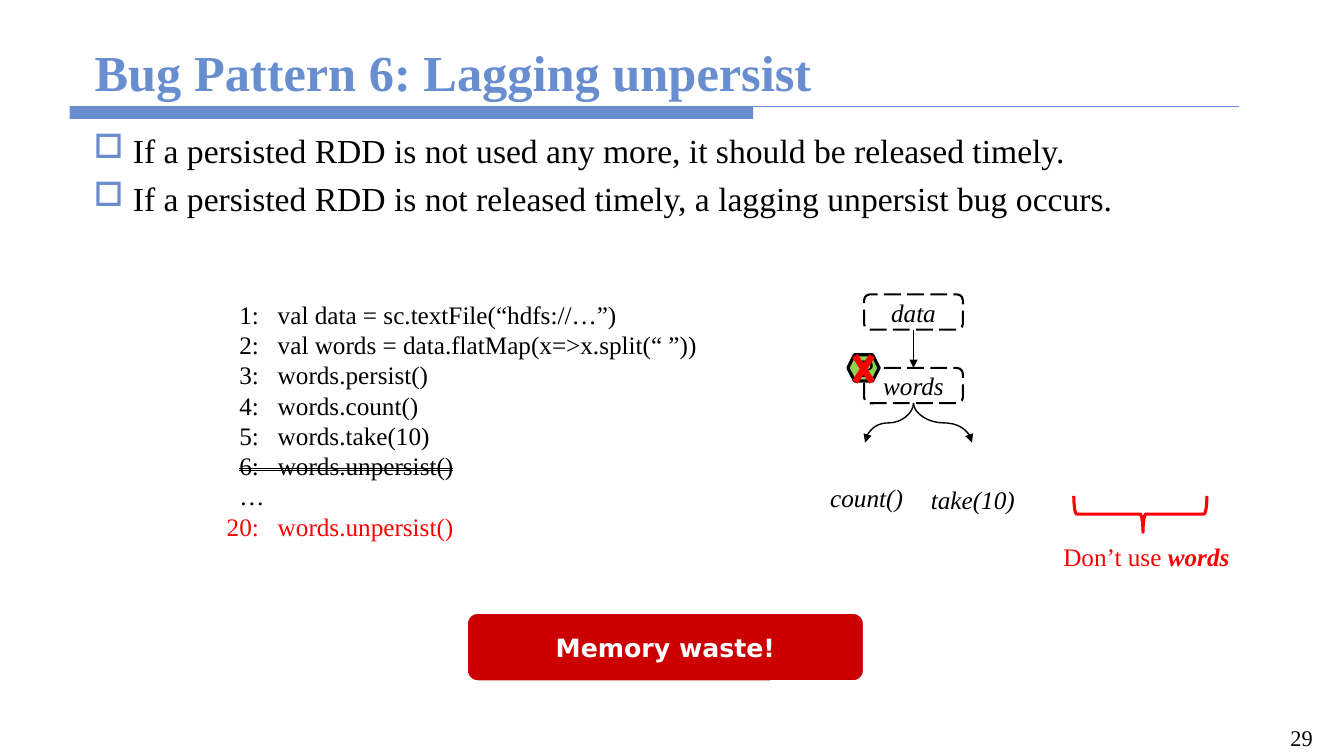
from lxml.etree import SubElement
from pptx import Presentation
from pptx.dml.color import RGBColor
from pptx.enum.dml import MSO_LINE as Dash
from pptx.enum.shapes import MSO_CONNECTOR as Conn, MSO_SHAPE as Kind
from pptx.enum.text import MSO_ANCHOR as Anchor, PP_ALIGN as Align
from pptx.oxml.ns import qn
from pptx.util import Inches, Pt

BLUE = RGBColor(0x69, 0x8E, 0xCF)
BLACK = RGBColor(0, 0, 0)
WHITE = RGBColor(0xFF, 0xFF, 0xFF)
RED = RGBColor(0xFF, 0, 0)
DARK = RGBColor(0xCC, 0, 0)
GREEN = RGBColor(0x92, 0xD0, 0x50)
SERIF = "Times New Roman"

POINTS = [
    "If a persisted RDD is not used any more, it should be released timely.",
    "If a persisted RDD is not released timely, a lagging unpersist bug occurs.",
]
CODE = [
    "  1:   val data = sc.textFile(“hdfs://…”)",
    "  2:   val words = data.flatMap(x=>x.split(“ ”))",
    "  3:   words.persist()",
    "  4:   words.count()",
    "  5:   words.take(10)",
]


def add_run(para, text, size=18, color=BLACK, bold=False, italic=False, face=SERIF):
    """Append one styled run to a paragraph."""
    run = para.add_run()
    run.text = text
    font = run.font
    font.name, font.size, font.bold, font.italic = face, Pt(size), bold, italic
    font.color.rgb = color
    return run


def add_box(slide, at, anchor=Anchor.TOP, align=Align.LEFT):
    """Add a wrapping text box and return its frame."""
    frame = slide.shapes.add_textbox(*map(Inches, at)).text_frame
    frame.word_wrap = True
    frame.vertical_anchor = anchor
    frame.paragraphs[0].alignment = align
    return frame


def add_label(slide, at, text):
    """Add a centred italic label."""
    frame = add_box(slide, at, Anchor.MIDDLE, Align.CENTER)
    add_run(frame.paragraphs[0], text, italic=True)


def add_form(slide, kind, at, fill=None, line=None, width=1.5):
    """Add a preset shape with centred text."""
    form = slide.shapes.add_shape(kind, *map(Inches, at))
    form.shadow.inherit = False
    if fill is None:
        form.fill.background()
    else:
        form.fill.solid()
        form.fill.fore_color.rgb = fill
    if line is None:
        form.line.fill.background()
    else:
        form.line.color.rgb = line
        form.line.width = Pt(width)
    form.text_frame.vertical_anchor = Anchor.MIDDLE
    form.text_frame.paragraphs[0].alignment = Align.CENTER
    return form


def add_node(slide, top, text):
    """Add a dashed node of the data flow."""
    node = add_form(slide, Kind.ROUNDED_RECTANGLE, (8.57, top, 0.98, 0.35), WHITE, BLACK)
    node.line.dash_style = Dash.LONG_DASH
    add_run(node.text_frame.paragraphs[0], text, italic=True)
    return node


def add_line(slide, ends, color=BLACK, width=1, kind=Conn.STRAIGHT, arrow=False):
    """Add a connector between two points."""
    line = slide.shapes.add_connector(kind, *map(Inches, ends))
    line.line.color.rgb = color
    line.line.width = Pt(width)
    if arrow:
        SubElement(line.line._get_or_add_ln(), qn("a:tailEnd"), type="triangle")
    SubElement(line._element.spPr, qn("a:effectLst"))
    return line


def add_curve(slide, x, y, dx, dy):
    """Add a curved arrow that leaves and arrives vertically."""
    midx, midy = x + dx / 2, y + dy / 2
    halfw, halfh = dy / 2, abs(dx) / 2
    side = 1 if dx < 0 else -1
    ends = (midx - side * halfw, midy - halfh, midx + side * halfw, midy + halfh)
    curve = add_line(slide, ends, kind=Conn.CURVE, arrow=True)
    turn = 90 if dx < 0 else 270
    curve._element.spPr.find(qn("a:xfrm")).set("rot", str(turn * 60000))


def add_title(slide):
    """Add the title and the rule beneath it."""
    add_form(slide, Kind.RECTANGLE, (0.69, 1.06, 6.78, 0.12), BLUE)
    add_line(slide, (0.69, 1.06, 12.29, 1.06), BLUE, 0.75)
    frame = add_box(slide, (0.84, 0.33, 11.67, 0.73), Anchor.BOTTOM)
    add_run(frame.paragraphs[0], "Bug Pattern 6: Lagging unpersist", 36, BLUE, True)


def add_points(slide):
    """Add the bulleted statements."""
    frame = add_box(slide, (0.83, 1.18, 11.67, 6.28))
    frame.margin_top = Inches(0.11)
    for i, text in enumerate(POINTS):
        para = frame.add_paragraph() if i else frame.paragraphs[0]
        if i:
            para.space_before = Pt(5.5)
        props = para._p.get_or_add_pPr()
        props.set("marL", str(Inches(0.39)))
        props.set("indent", str(-Inches(0.39)))
        SubElement(SubElement(props, qn("a:buClr")), qn("a:srgbClr"), val=str(BLUE))
        SubElement(props, qn("a:buChar"), char="□")
        add_run(para, text, 24)


def add_code(slide):
    """Add the program listing."""
    frame = add_box(slide, (2.15, 2.92, 4.89, 2.52))
    for i, text in enumerate(CODE):
        add_run(frame.add_paragraph() if i else frame.paragraphs[0], text)
    para = frame.add_paragraph()
    add_run(para, "  ")
    gone = add_run(para, "6:   words.unpersist()")
    gone.font._element.set("strike", "dblStrike")
    add_run(frame.add_paragraph(), "  …")
    add_run(frame.add_paragraph(), "20:   words.unpersist()", color=RED)


def add_flow(slide):
    """Add the data flow with its crossed-out mark."""
    data = add_node(slide, 2.92, "data")
    words = add_node(slide, 3.65, "words")
    link = add_line(slide, (9.06, 3.27, 9.06, 3.65), arrow=True)
    link.begin_connect(data, 2)
    link.end_connect(words, 0)
    add_label(slide, (8.09, 4.76, 1.01, 0.35), "count()")
    for dx in (-0.48, 0.58):
        add_curve(slide, 9.06, 4, dx, 0.39)
    mark = add_form(slide, Kind.HEXAGON, (8.41, 3.52, 0.31, 0.26), GREEN, BLACK, 2.25)
    frame = mark.text_frame
    frame.margin_left = frame.margin_right = Inches(0.07)
    frame.margin_top = frame.margin_bottom = Inches(0.04)
    add_run(frame.paragraphs[0], "P")
    add_label(slide, (9.1, 4.75, 1.1, 0.4), "take(10)")
    for top, end in ((3.53, 3.79), (3.79, 3.53)):
        add_line(slide, (8.48, top, 8.65, end), RED, 4.5)


def add_notice(slide):
    """Add the red brace, its caption and the banner."""
    banner = add_form(slide, Kind.ROUNDED_RECTANGLE, (4.62, 6.07, 3.96, 0.7), DARK, WHITE, 3)
    add_run(banner.text_frame.paragraphs[0], "Memory waste!", 18, WHITE, True, face="DejaVu Sans")
    brace = add_form(slide, Kind.LEFT_BRACE, (11.13, 4.44, 0.36, 1.32), None, RED, 2.25)
    brace.rotation = 270
    brace.adjustments[0] = 0.08
    brace.adjustments[1] = 0.52
    para = add_box(slide, (10.43, 5.32, 1.88, 0.4), align=Align.CENTER).paragraphs[0]
    add_run(para, "Don’t use ", color=RED)
    add_run(para, "words", color=RED, bold=True, italic=True)


def main():
    """Build and save the slide."""
    deck = Presentation()
    deck.slide_width, deck.slide_height = Inches(13.33), Inches(7.5)
    slide = deck.slides.add_slide(deck.slide_layouts[6])
    add_title(slide)
    add_points(slide)
    add_flow(slide)
    add_code(slide)
    page = add_box(slide, (12.49, 7.13, 0.84, 0.35), align=Align.CENTER)
    add_run(page.paragraphs[0], "29", 16)
    add_notice(slide)
    deck.save("out.pptx")


if __name__ == "__main__":
    main()
